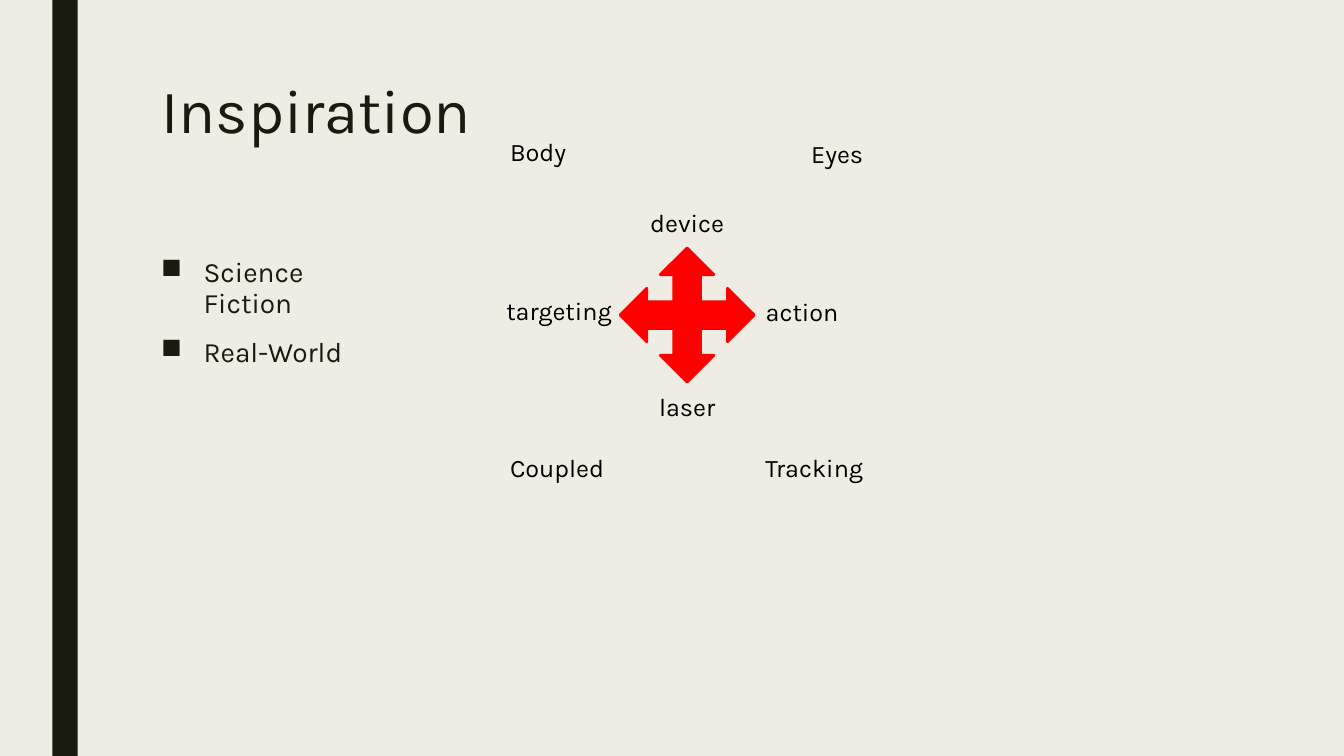
from lxml import etree
from pptx import Presentation
from pptx import util as u
from pptx.dml import color
from pptx.enum import shapes, text
from pptx.oxml import ns

COLORS = {"paper": "EFEDE3", "ink": "191B0E", "label": "000000", "arrow": "FF0000"}
LEFT, CENTER, RIGHT = text.PP_ALIGN.LEFT, text.PP_ALIGN.CENTER, text.PP_ALIGN.RIGHT


class SlideBuilder:
    """Draws styled elements on one slide, in grid cells of a tenth of an inch."""

    font = "Karla"
    cell = u.Inches(0.1)

    def __init__(self, presentation):
        self.slide = presentation.slides.add_slide(presentation.slide_layouts[5])
        fill = self.slide.background.fill
        fill.solid()
        fill.fore_color.rgb = self.color("paper")

    def color(self, name):
        return color.RGBColor.from_string(COLORS[name])

    def box(self, column, row, columns, rows):
        return [round(value * self.cell) for value in (column, row, columns, rows)]

    def add_words(self, paragraph, words, size, ink, align=LEFT):
        paragraph.alignment = align
        run = paragraph.add_run()
        run.text = words
        run.font.name = self.font
        run.font.size = u.Pt(size)
        run.font.color.rgb = self.color(ink)

    def title(self, words, *cells):
        shape = self.slide.shapes.title
        shape.left, shape.top, shape.width, shape.height = self.box(*cells)
        frame = shape.text_frame
        frame.auto_size = text.MSO_AUTO_SIZE.NONE
        frame.vertical_anchor = text.MSO_ANCHOR.TOP
        frame.paragraphs[0].line_spacing = 0.89
        self.add_words(frame.paragraphs[0], words, 44, "ink")

    def text_box(self, *cells):
        frame = self.slide.shapes.add_textbox(*self.box(*cells)).text_frame
        frame.word_wrap = True
        return frame

    def label(self, words, align, *cells):
        frame = self.text_box(*cells)
        frame.auto_size = text.MSO_AUTO_SIZE.SHAPE_TO_FIT_TEXT
        self.add_words(frame.paragraphs[0], words, 18, "label", align)

    def bullets(self, items, *cells):
        frame = self.text_box(*cells)
        for index, item in enumerate(items):
            paragraph = frame.add_paragraph() if index else frame.paragraphs[0]
            paragraph.line_spacing = 0.94
            paragraph.space_before = u.Pt(10)
            paragraph.space_after = u.Pt(2)
            self.add_words(paragraph, item, 20, "ink")
            properties = paragraph._p.get_or_add_pPr()
            indent = u.Inches(0.42)
            properties.set("marL", str(indent))
            properties.set("indent", str(-indent))
            etree.SubElement(properties, ns.qn("a:buChar"), char="■")

    def block(self, preset, fill, *cells, rotation=0, outline=0):
        shape = self.slide.shapes.add_shape(preset, *self.box(*cells))
        shape.shadow.inherit = False
        shape.rotation = rotation
        shape.fill.solid()
        shape.fill.fore_color.rgb = self.color(fill)
        if outline:
            shape.line.color.rgb = self.color(fill)
            shape.line.width = u.Pt(outline)
        else:
            shape.line.fill.background()


def main():
    presentation = Presentation()
    presentation.slide_width, presentation.slide_height = u.Inches(13.33), u.Inches(7.5)
    builder = SlideBuilder(presentation)

    builder.block(shapes.MSO_SHAPE.RECTANGLE, "ink", 5.2, 0, 2.5, 75)
    builder.title("Inspiration", 15, 7.5, 105, 16.2)
    builder.bullets(["Science Fiction", "Real-World"], 15, 25, 25.1, 12.2)

    for words, column, row in [("laser", 56.7, 38.3), ("device", 56.7, 20.1),
                               ("action", 68.1, 28.9), ("targeting", 44, 28.8)]:
        builder.label(words, CENTER, column, row, 22.9, 4)

    for rotation in (0, 270):
        builder.block(shapes.MSO_SHAPE.UP_DOWN_ARROW, "arrow", 65.5, 24.6, 5.3, 13.3,
                      rotation=rotation, outline=2)

    for words, align, column, row in [("Coupled", LEFT, 49.6, 44.4), ("Tracking", RIGHT, 72.5, 44.4),
                                      ("Eyes", RIGHT, 72.5, 13.2), ("Body", LEFT, 49.6, 13)]:
        builder.label(words, align, column, row, 14.1, 4.2)

    presentation.save("out.pptx")


if __name__ == "__main__":
    main()
